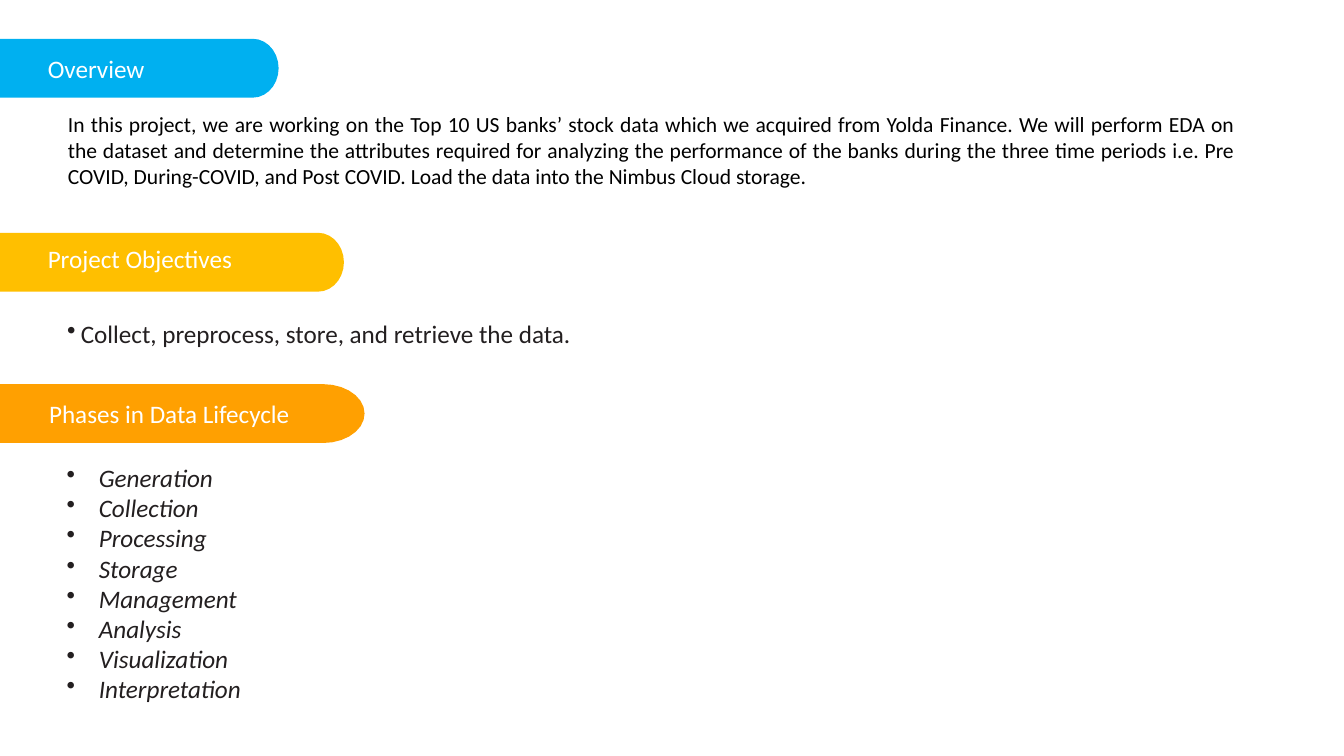
import math
from dataclasses import dataclass

from lxml import etree
from pptx import Presentation
from pptx import util as u
from pptx.dml import color
from pptx.enum import text
from pptx.oxml import ns

FONT = "Calibri"
WHITE, BLACK, INK = "FFFFFF", "000000", "231F20"
BANNER_HEIGHT = 0.91
CAP_STEPS = 14


@dataclass
class Banner:
    top: float
    width: float
    cap: float
    fill: str


@dataclass
class TextBlock:
    left: float
    top: float
    width: float
    height: float
    lines: list[str]
    size: int = 28
    ink: str = WHITE
    italic: bool = False
    justified: bool = False
    margin: float = 0.01
    hanging: float = 0  # bullet gap; 0 means no bullet


BANNERS = [
    Banner(0.6, 4.31, 0.4, "00B0F0"),
    Banner(3.6, 5.32, 0.4, "FFBF00"),
    Banner(5.94, 5.64, 0.64, "FFA001"),
]

OVERVIEW = (
    "In this project, we are working on the Top 10 US banks’ stock data which we "
    "acquired from Yolda Finance. We will perform EDA on the dataset and determine "
    "the attributes required for analyzing the performance of the banks during the "
    "three time periods i.e. Pre COVID, During-COVID, and Post COVID. Load the data "
    "into the Nimbus Cloud storage."
)
PHASES = ["Generation", "Collection", "Processing", "Storage",
          "Management", "Analysis", "Visualization", "Interpretation"]

BLOCKS = [
    # Section headings
    TextBlock(0.73, 0.81, 3.92, 0.49, ["Overview"]),
    TextBlock(0.73, 3.75, 5.26, 0.49, ["Project Objectives"]),
    TextBlock(0.75, 6.15, 4.42, 0.49, ["Phases in Data Lifecycle"]),
    # Section contents
    TextBlock(1.04, 1.71, 18.06, 1.22, [OVERVIEW], size=24, ink=BLACK, justified=True),
    TextBlock(1.04, 4.91, 18.06, 0.49,
              ["Collect, preprocess, store, and retrieve the data."],
              ink=INK, margin=0.21, hanging=0.21),
    TextBlock(1.02, 7.14, 9.4, 3.87, PHASES, ink=INK, italic=True,
              margin=0.51, hanging=0.5),
]


def rgb(value: str) -> color.RGBColor:
    return color.RGBColor.from_string(value)


def draw_banner(page, banner: Banner) -> None:
    """Draw a bar from the slide edge with a half-elliptical right end."""
    radius = BANNER_HEIGHT / 2
    straight = banner.width - banner.cap
    outline = [(0, banner.top + BANNER_HEIGHT)]
    for step in range(CAP_STEPS + 1):
        angle = math.pi * step / CAP_STEPS
        outline.append((straight + banner.cap * math.sin(angle),
                        banner.top + radius + radius * math.cos(angle)))
    builder = page.shapes.build_freeform(0, u.Inches(banner.top))
    builder.add_line_segments([(u.Inches(x), u.Inches(y)) for x, y in outline])
    shape = builder.convert_to_shape()
    shape.shadow.inherit = False
    shape.fill.solid()
    shape.fill.fore_color.rgb = rgb(banner.fill)
    shape.line.fill.background()


def set_indent(para, margin: float, hanging: float) -> None:
    properties = para._p.get_or_add_pPr()
    properties.set("marL", str(u.Inches(margin)))
    properties.set("indent", str(-u.Inches(hanging)))
    if hanging:
        bullet = etree.SubElement(properties, ns.qn("a:buChar"))
        bullet.set("char", "•")


def draw_text(page, block: TextBlock) -> None:
    box = page.shapes.add_textbox(u.Inches(block.left), u.Inches(block.top),
                                  u.Inches(block.width), u.Inches(block.height))
    frame = box.text_frame
    frame.margin_left = frame.margin_right = frame.margin_bottom = 0
    frame.margin_top = u.Inches(0.01)
    frame.word_wrap = True
    frame.auto_size = text.MSO_AUTO_SIZE.SHAPE_TO_FIT_TEXT
    frame.text = "\n".join(block.lines)
    for para in frame.paragraphs:
        set_indent(para, block.margin, block.hanging)
        if block.justified:
            para.alignment = text.PP_ALIGN.JUSTIFY
        for span in para.runs:
            span.font.name = FONT
            span.font.size = u.Pt(block.size)
            span.font.italic = block.italic
            span.font.color.rgb = rgb(block.ink)


def main() -> None:
    deck = Presentation()
    deck.slide_width, deck.slide_height = u.Inches(20.79), u.Inches(11.69)
    page = deck.slides.add_slide(deck.slide_layouts[6])
    for banner in BANNERS:
        draw_banner(page, banner)
    for block in BLOCKS:
        draw_text(page, block)
    deck.save("out.pptx")


if __name__ == "__main__":
    main()
